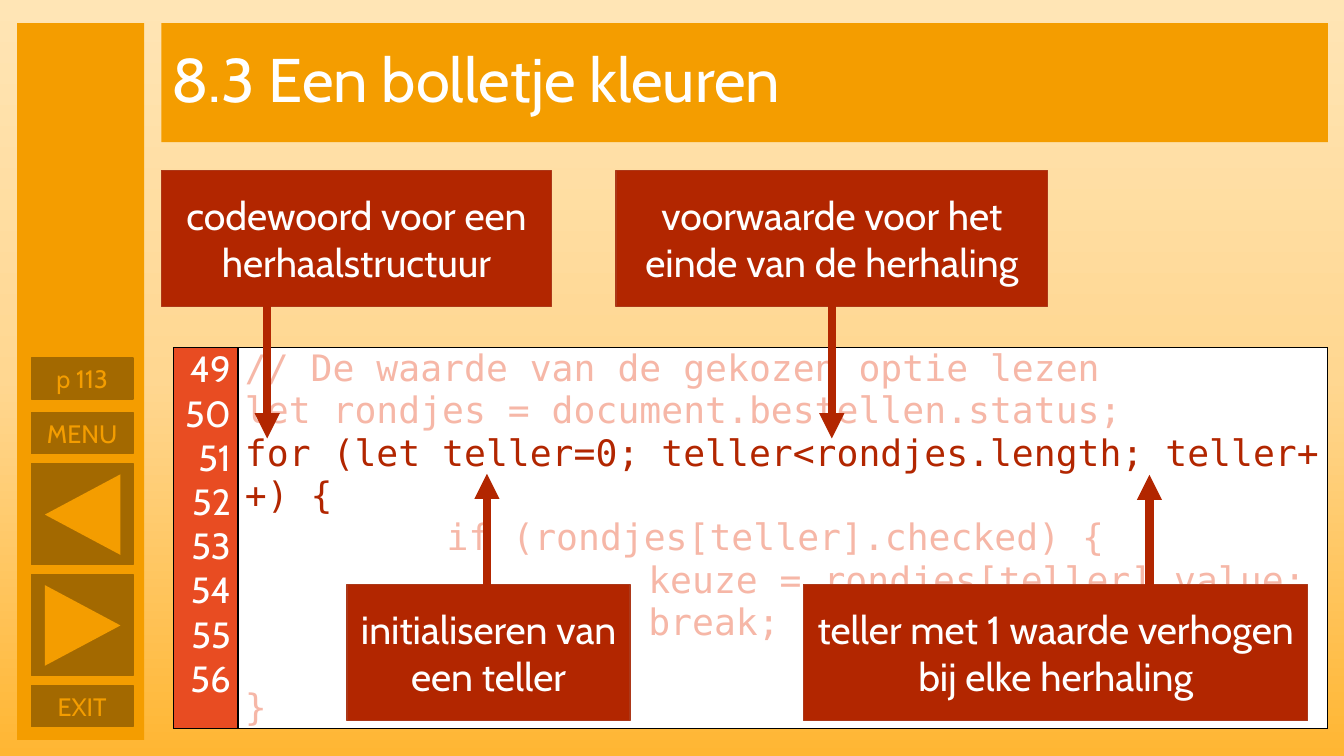
from copy import deepcopy

from lxml import etree
from pptx import Presentation
from pptx import util as u
from pptx.dml.color import RGBColor
from pptx.enum import shapes, text
from pptx.oxml import ns

SANS, MONO = "Cabin", "DejaVu Sans Mono"
WHITE, BLACK = "FFFFFF", "000000"
ORANGE, BROWN = "F49D00", "A36900"
RED, EDGE, PALE, CORAL = "B22600", "AC3819", "F6B7A7", "E84C22"
LEFT, MID, RIGHT = text.PP_ALIGN.LEFT, text.PP_ALIGN.CENTER, text.PP_ALIGN.RIGHT
BOX, TRI = shapes.MSO_SHAPE.RECTANGLE, shapes.MSO_SHAPE.ISOSCELES_TRIANGLE


def hue(code):
    return RGBColor.from_string(code)


def sub(node, tag, **attrs):
    return etree.SubElement(node, ns.qn(tag), **attrs)


def write(frame, words, size=28, font=SANS, color=WHITE, align=MID, space=None, tabs=0):
    """Put one line in the frame, after any lines already there."""
    para = frame.paragraphs[-1]
    if para.runs:
        para = frame.add_paragraph()
    para.alignment = align
    if space:
        para.line_spacing = space
    if tabs:
        props = para._p.get_or_add_pPr()
        props.set("defTabSz", str(u.Inches(1)))
        stops = sub(props, "a:tabLst")
        for step in range(1, tabs + 1):
            sub(stops, "a:tab", pos=str(u.Inches(step)), algn="l")
    run = para.add_run()
    run.text = words
    run.font.size, run.font.name = u.Pt(size), font
    run.font.color.rgb = hue(color)


class Deck:
    def __init__(self):
        self.file = Presentation()
        self.file.slide_width, self.file.slide_height = u.Inches(13.33), u.Inches(7.5)
        self.slide = self.file.slides.add_slide(self.file.slide_layouts[6])

    def ground(self, colors):
        """Fill the background from top to bottom with evenly spaced colours."""
        fill = self.slide.background.fill
        fill.gradient()
        fill.gradient_angle = 270
        stops = next(self.slide.element.iter(ns.qn("a:gsLst")))
        while len(stops) < len(colors):
            stops.append(deepcopy(stops[0]))
        for i, (stop, color) in enumerate(zip(fill.gradient_stops, colors)):
            stop.color.rgb = hue(color)
            stop.position = i / (len(colors) - 1)

    def shape(self, x, y, w, h, fill, kind=BOX, line=None, turn=0, words=None, **style):
        item = self.slide.shapes.add_shape(kind, *map(u.Inches, (x, y, w, h)))
        item.shadow.inherit = False
        item.rotation = turn
        item.fill.solid()
        item.fill.fore_color.rgb = hue(fill)
        if line:
            item.line.color.rgb = hue(line)
            item.line.width = u.Pt(1)
        else:
            item.line.fill.background()
        if words:
            frame = item.text_frame
            frame.word_wrap = True
            frame.vertical_anchor = text.MSO_ANCHOR.MIDDLE
            write(frame, words, **style)
        return item

    def arrow(self, x, start, end, box=None, side=2):
        link = self.slide.shapes.add_connector(
            shapes.MSO_CONNECTOR.STRAIGHT, *map(u.Inches, (x, start, x, end)))
        if box is not None:
            link.begin_connect(box, side)
        link.line.color.rgb = hue(RED)
        link.line.width = u.Pt(6)
        sub(link.line._get_or_add_ln(), "a:tailEnd", type="triangle")
        sub(link._element.spPr, "a:effectLst")

    def table(self, x, y, widths, height):
        grid = self.slide.shapes.add_table(
            1, len(widths), *map(u.Inches, (x, y, sum(widths), height))).table
        grid.first_row = grid.horz_banding = False
        for col, width in zip(grid.columns, widths):
            col.width = u.Inches(width)
        return grid

    def cell(self, cell, fill, anchor, lines, **style):
        cell.margin_left = cell.margin_right = u.Inches(0.07)
        cell.margin_top = cell.margin_bottom = 0
        cell.vertical_anchor = anchor
        for side in "LRTB":
            edge = sub(cell._tc.get_or_add_tcPr(), "a:ln" + side, w=str(u.Pt(1)))
            sub(sub(edge, "a:solidFill"), "a:srgbClr", val=BLACK)
        cell.fill.solid()
        cell.fill.fore_color.rgb = hue(fill)
        for words, color in lines:
            write(cell.text_frame, words, size=26, color=color, **style)


def main():
    deck = Deck()
    deck.ground(["FFE5B5", "FFD791", "FFB633"])

    # Title bar
    deck.shape(1.6, 0.23, 11.57, 1.18, ORANGE, words="8.3 Een bolletje kleuren",
               size=44, align=LEFT, space=0.9)

    # Side menu
    deck.shape(0.17, 0.23, 1.26, 7.11, ORANGE)
    for label, y in (("EXIT", 6.8), ("MENU", 4.09), ("p 113", 3.55)):
        deck.shape(0.31, y, 1.01, 0.41, BROWN, line=BROWN, words=label,
                   size=18, color=ORANGE)
    for y, turn in ((5.7, 90), (4.6, 270)):
        deck.shape(0.31, y, 1.01, 1, BROWN, line=BROWN)
        deck.shape(0.42, y + 0.13, 0.8, 0.75, ORANGE, kind=TRI, turn=turn)

    # Code with line numbers
    code = [
        ("// De waarde van de gekozen optie lezen", PALE),
        ("let rondjes = document.bestellen.status;", PALE),
        ("for (let teller=0; teller<rondjes.length; teller++) {", RED),
        ("\t\tif (rondjes[teller].checked) {", PALE),
        ("\t\t\t\tkeuze = rondjes[teller].value;", PALE),
        ("\t\t\t\tbreak;", PALE),
        ("\t\t}", PALE),
        ("}", PALE),
    ]
    grid = deck.table(1.72, 3.45, [0.64, 10.81], 3.47)
    deck.cell(grid.cell(0, 0), CORAL, text.MSO_ANCHOR.TOP,
              [(str(49 + i), WHITE) for i in range(len(code))], align=RIGHT)
    deck.cell(grid.cell(0, 1), WHITE, text.MSO_ANCHOR.MIDDLE, code,
              font=MONO, align=LEFT, tabs=4)

    # Notes on the code
    notes = [
        (1.6, 1.69, 3.87, "codewoord voor een herhaalstructuur"),
        (3.44, 5.8, 2.81, "initialiseren van een teller"),
        (6.11, 1.69, 4.28, "voorwaarde voor het einde van de herhaling"),
        (7.97, 5.8, 5, "teller met 1 waarde verhogen bij elke herhaling"),
    ]
    boxes = [deck.shape(x, y, w, 1.35, RED, line=EDGE, words=words)
             for x, y, w, words in notes]

    # Arrows from notes to code
    deck.arrow(2.65, 3.04, 4.35)
    deck.arrow(8.25, 3.04, 4.35, box=boxes[2])
    deck.arrow(4.83, 6.01, 4.7)
    deck.arrow(11.4, 6.02, 4.71)

    deck.file.save("out.pptx")


if __name__ == "__main__":
    main()
